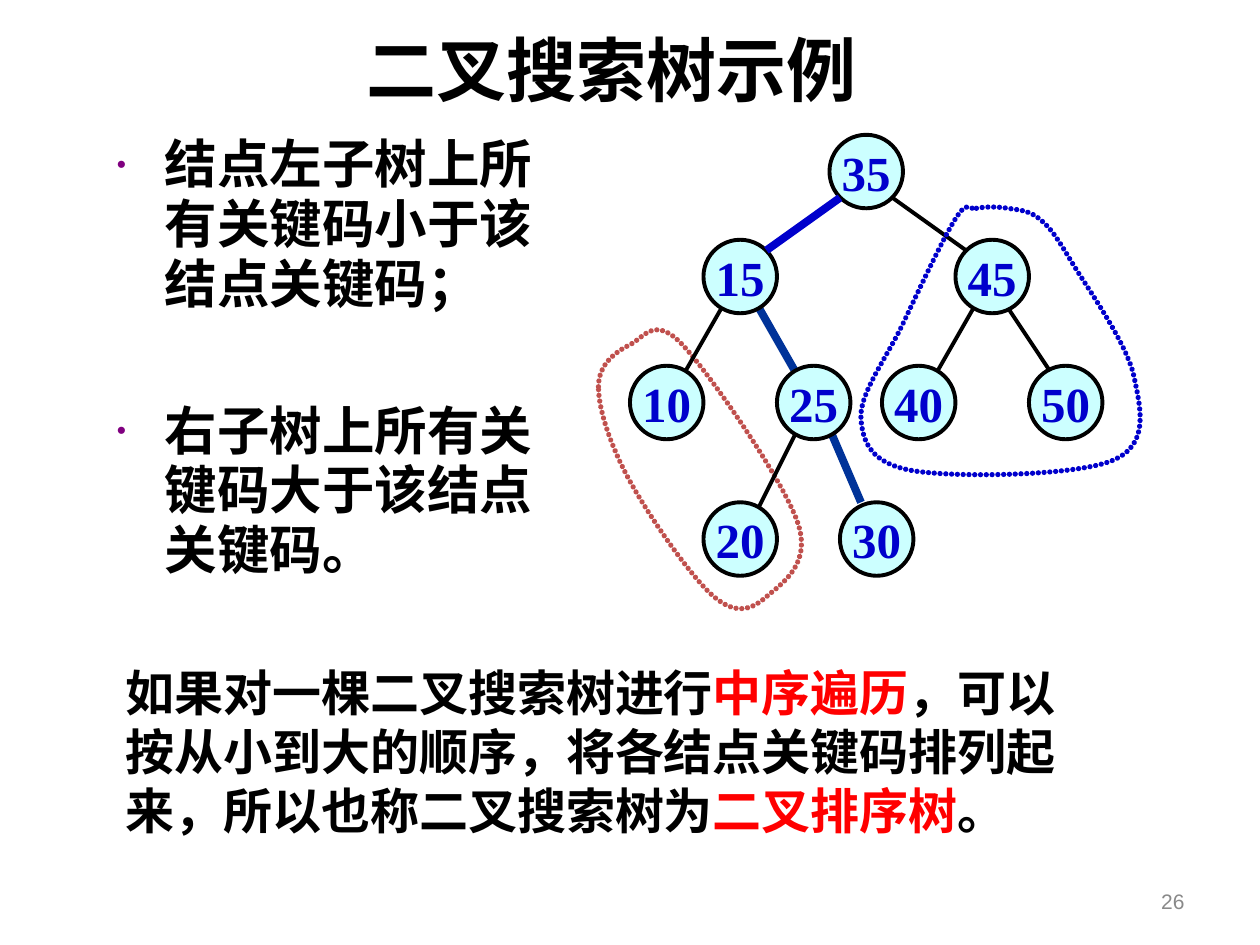
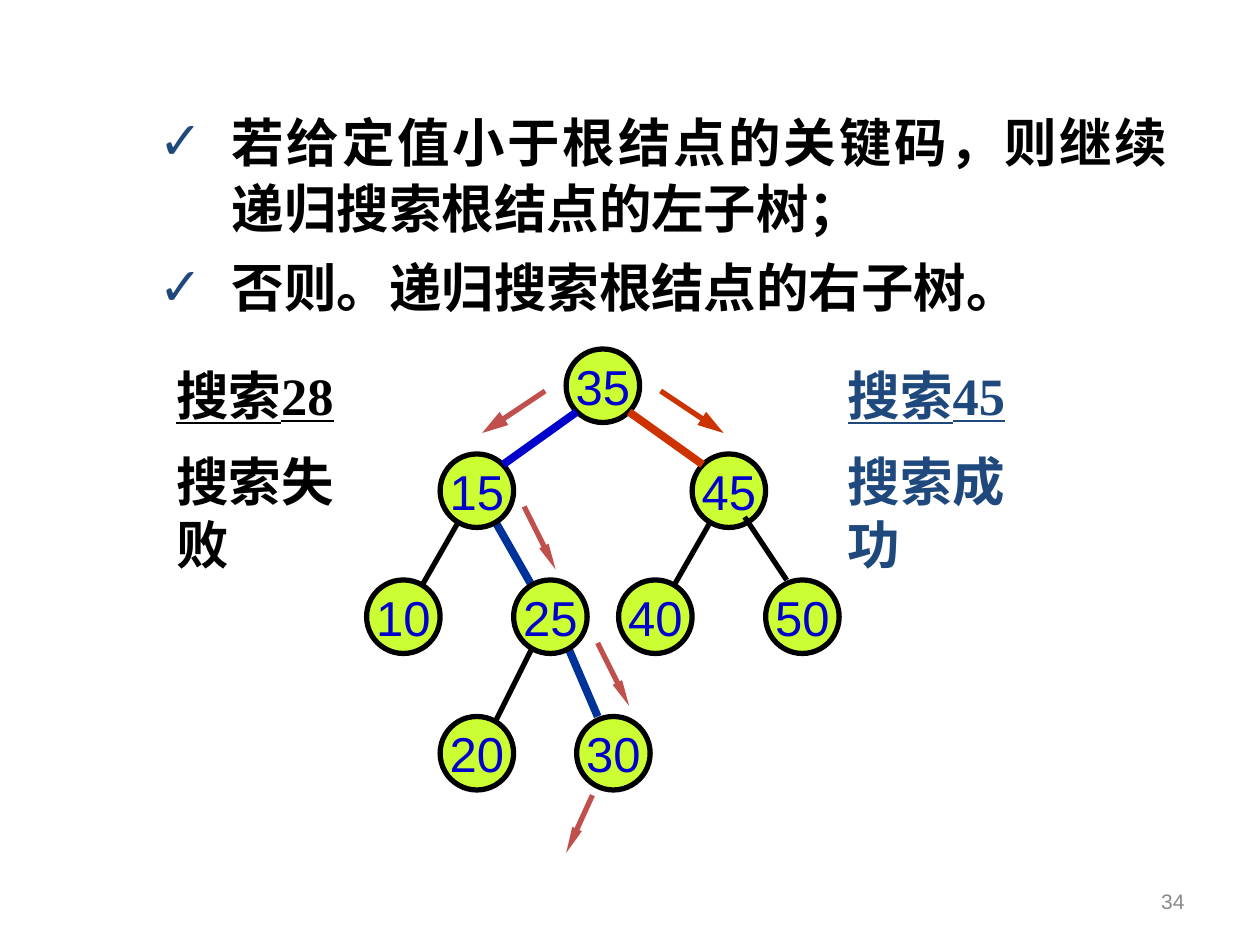
from lxml.etree import SubElement
from pptx import Presentation
from pptx.dml.color import RGBColor
from pptx.enum.shapes import MSO_CONNECTOR, MSO_SHAPE
from pptx.enum.text import MSO_ANCHOR, MSO_AUTO_SIZE, PP_ALIGN
from pptx.oxml.ns import qn
from pptx.util import Inches, Pt

BLACK, RED, GREY = "000000", "FF0000", "898989"
BLUE, NAVY, SLATE = "0000CC", "003399", "1F497D"
BRICK, ORANGE, PURPLE = "C0504D", "CC3300", "800080"

TITLE = dict(name="Calibri", size=Pt(40), bold=True)
BODY = dict(name="Calibri", size=Pt(30), bold=True)
SUMMARY = dict(name="Times New Roman", size=Pt(28), bold=True)
LABEL = dict(name="Times New Roman", size=Pt(30), bold=True)
NUMBER = dict(name="Arial", size=Pt(12))

# The tree lies on a grid of twelfths of an inch, counted from its upper left
GRID = 1 / 12
NODE_SIZE = 7
NODES = {
    35: (19, 0), 15: (7, 10), 45: (31, 10), 50: (38, 22), 40: (24, 22),
    25: (14, 22), 10: (0, 22), 20: (7, 35), 30: (20, 35),
}
EDGES_BEHIND = {
    (45, 40): (33, 16, 29, 23),
    (25, 30): (19, 28, 22, 35),
    (25, 20): (16, 28, 12, 36),
    (15, 10): (9, 16, 5, 23),
    (15, 25): (12, 16, 16, 23),
}
EDGES_IN_FRONT = {
    (35, 15): (20, 6, 13, 11),
    (35, 45): (25, 6, 32, 11),
}
SEARCH_PATH = {(35, 15): BLUE, (15, 25): NAVY, (25, 30): NAVY}

LEFT_LOOP = [(-3, 24), (0, 20), (5, 20), (16, 37), (13, 44), (8, 44), (0, 33)]
RIGHT_LOOP = [(33, 7), (36, 7), (39, 8), (42, 12), (48, 23), (46, 31),
              (27, 32), (22, 27), (26, 18), (31, 8)]


def colour(value):
    return RGBColor.from_string(value)


def apply_format(target, values):
    for name, value in values.items():
        setattr(target, name, value)


def grid_point(origin, x, y):
    return Inches(origin[0] + x * GRID), Inches(origin[1] + y * GRID)


def add_span(para, text, font, shade=BLACK, **extra):
    span = para.add_run()
    span.text = text
    apply_format(span.font, {**font, **extra})
    span.font.color.rgb = colour(shade)


def add_text_box(page, left, top, width, height, **frame_format):
    box = page.shapes.add_textbox(*map(Inches, (left, top, width, height)))
    apply_format(box.text_frame, {"word_wrap": True, **frame_format})
    return box.text_frame


def next_para(frame):
    first = frame.paragraphs[0]
    return frame.add_paragraph() if first.runs else first


def set_bullet(para, mark, shade, margin, hang, percent=100):
    props = para._p.get_or_add_pPr()
    props.set("marL", str(Inches(margin)))
    props.set("indent", str(-Inches(hang)))
    holder = SubElement(props, qn("a:buClr"))
    SubElement(holder, qn("a:srgbClr")).set("val", shade)
    SubElement(props, qn("a:buSzPct")).set("val", str(percent * 1000))
    SubElement(props, qn("a:buFont")).set("typeface", "Arial")
    SubElement(props, qn("a:buChar")).set("char", mark)


def add_bullets(frame, texts, gap, para_format, **bullet):
    for index, text in enumerate(texts):
        para = next_para(frame)
        apply_format(para, para_format)
        if index:
            para.space_before = Pt(gap)
        set_bullet(para, **bullet)
        add_span(para, text, BODY)


def add_page_number(page, number):
    frame = add_text_box(page, 7.17, 6.95, 2.33, 0.4,
                         vertical_anchor=MSO_ANCHOR.MIDDLE)
    para = frame.paragraphs[0]
    para.alignment = PP_ALIGN.RIGHT
    add_span(para, str(number), NUMBER, GREY)


def add_line(page, origin, ends, shade, weight, head_width=None):
    """Draw a line between grid places; head_width makes it an arrow."""
    line = page.shapes.add_connector(
        MSO_CONNECTOR.STRAIGHT, *grid_point(origin, *ends[:2]),
        *grid_point(origin, *ends[2:]))
    line.line.color.rgb = colour(shade)
    line.line.width = Pt(weight)
    if head_width:
        head = SubElement(line.line._get_or_add_ln(), qn("a:tailEnd"))
        for name, value in dict(type="triangle", w=head_width, len="lg").items():
            head.set(name, value)
    SubElement(line._element.spPr, qn("a:effectLst"))


def add_node(page, origin, key, fill, weight, font):
    size = Inches(NODE_SIZE * GRID)
    node = page.shapes.add_shape(
        MSO_SHAPE.OVAL, *grid_point(origin, *NODES[key]), size, size)
    node.shadow.inherit = False
    node.fill.solid()
    node.fill.fore_color.rgb = colour(fill)
    node.line.color.rgb = colour(BLACK)
    node.line.width = Pt(weight)
    apply_format(node.text_frame, dict(word_wrap=False,
                                       vertical_anchor=MSO_ANCHOR.MIDDLE))
    para = node.text_frame.paragraphs[0]
    para.alignment = PP_ALIGN.CENTER
    add_span(para, str(key), font, BLUE)


def add_tree(page, origin, fill, weight, font, highlights, fork_top):
    """Draw the search tree; fork_top is where the edge from 45 to 50 starts."""
    def add_edges(edges):
        for pair, ends in edges.items():
            marked = pair in highlights
            add_line(page, origin, ends, highlights.get(pair, BLACK),
                     4.5 if marked else weight)

    add_edges(EDGES_BEHIND)
    for key in NODES:
        add_node(page, origin, key, fill, weight, font)
    add_edges({**EDGES_IN_FRONT,
               (45, 50): (36, fork_top, 40, fork_top + 6)})


def curve_points(knots):
    """Return two control points and an end for each curve of a smooth loop."""
    def control(index, sign):
        before, after = knots[index - 1], knots[(index + 1) % len(knots)]
        return tuple(here + sign * (b - a) / 6
                     for here, a, b in zip(knots[index], before, after))

    points = []
    for index in range(len(knots)):
        end = (index + 1) % len(knots)
        points += [control(index, 1), control(end, -1), knots[end]]
    return points


def add_dotted_loop(page, origin, knots, shade):
    builder = page.shapes.build_freeform(*grid_point(origin, *knots[0]))
    builder.add_line_segments(
        [grid_point(origin, *point) for point in curve_points(knots)], close=True)
    loop = builder.convert_to_shape()

    # Join each three straight segments into one Bezier curve
    segments = list(loop._element.iter(qn("a:lnTo")))
    for start in range(0, len(segments), 3):
        curve = segments[start]
        curve.tag = qn("a:cubicBezTo")
        for segment in segments[start + 1:start + 3]:
            curve.append(segment[0])
            segment.getparent().remove(segment)

    loop.shadow.inherit = False
    loop.fill.background()
    loop.line.color.rgb = colour(shade)
    loop.line.width = Pt(3)
    outline = loop.line._get_or_add_ln()
    outline.set("cap", "rnd")
    dot = SubElement(SubElement(outline, qn("a:custDash")), qn("a:ds"))
    dot.set("d", "100000")
    dot.set("sp", "10000")


def add_search_result(page, left, top, target, outcome, shade):
    frame = add_text_box(page, left, top, 1.86, 1.29, word_wrap=False,
                         auto_size=MSO_AUTO_SIZE.SHAPE_TO_FIT_TEXT)
    add_span(next_para(frame), f"搜索{target}", LABEL, shade, underline=True)
    para = next_para(frame)
    para.space_before = Pt(13.1)
    add_span(para, outcome, LABEL, shade)


def build_example_page(page):
    frame = add_text_box(page, 2.59, 0.17, 4.53, 0.75,
                         vertical_anchor=MSO_ANCHOR.MIDDLE)
    para = frame.paragraphs[0]
    para.alignment = PP_ALIGN.CENTER
    add_span(para, "二叉搜索树示例", TITLE)

    add_bullets(add_text_box(page, 0.83, 1.03, 3.7, 3.82),
                ["结点左子树上所有关键码小于该结点关键码；",
                 "右子树上所有关键码大于该结点关键码。"],
                49.5, dict(line_spacing=0.95), mark="•", shade=PURPLE,
                margin=0.38, hang=0.38, percent=50)

    origin = (5, 1.07)
    add_dotted_loop(page, origin, LEFT_LOOP, BRICK)
    add_tree(page, origin, "CCFFFF", 2.25, SUMMARY, SEARCH_PATH, 16.5)
    add_dotted_loop(page, origin, RIGHT_LOOP, BLUE)

    para = add_text_box(page, 0.9, 5.21, 7.8, 1.97).paragraphs[0]
    for text, shade in [
            ("如果对一棵二叉搜索树进行", BLACK),
            ("中序遍历", RED),
            ("，可以按从小到大的顺序，将各结点关键码排列起来，所以也称二叉搜索树为", BLACK),
            ("二叉排序树", RED),
            ("。", BLACK)]:
        add_span(para, text, SUMMARY, shade)
    add_page_number(page, 26)


def build_search_page(page):
    add_bullets(add_text_box(page, 0.66, 0.8, 8.71, 1.97),
                ["若给定值小于根结点的关键码，则继续递归搜索根结点的左子树；",
                 "否则。递归搜索根结点的右子树。"],
                7.5, dict(line_spacing=1.05, alignment=PP_ALIGN.JUSTIFY),
                mark="✓", shade=SLATE, margin=1.08, hang=0.58)
    add_search_result(page, 6.63, 2.83, 45, "搜索成功", SLATE)
    add_search_result(page, 1.3, 2.83, 28, "搜索失败", BLACK)

    origin = (2.91, 2.77)
    add_tree(page, origin, "CCFF33", 3, dict(name="Arial", size=Pt(28)),
             {**SEARCH_PATH, (35, 45): ORANGE}, 16)
    for ends, shade, head_width in [
            ((28, 4, 34, 8), ORANGE, "med"),
            ((17, 4, 11, 8), BRICK, "med"),
            ((15, 15, 18, 21), BRICK, "sm"),
            ((22, 28, 25, 34), BRICK, "sm"),
            ((21.5, 42.5, 19, 48), BRICK, "sm")]:
        add_line(page, origin, ends, shade, 3, head_width)
    add_page_number(page, 34)


def main():
    deck = Presentation()
    deck.slide_width, deck.slide_height = Inches(10), Inches(7.5)
    for build in (build_example_page, build_search_page):
        build(deck.slides.add_slide(deck.slide_layouts[6]))
    deck.save("out.pptx")


if __name__ == "__main__":
    main()
